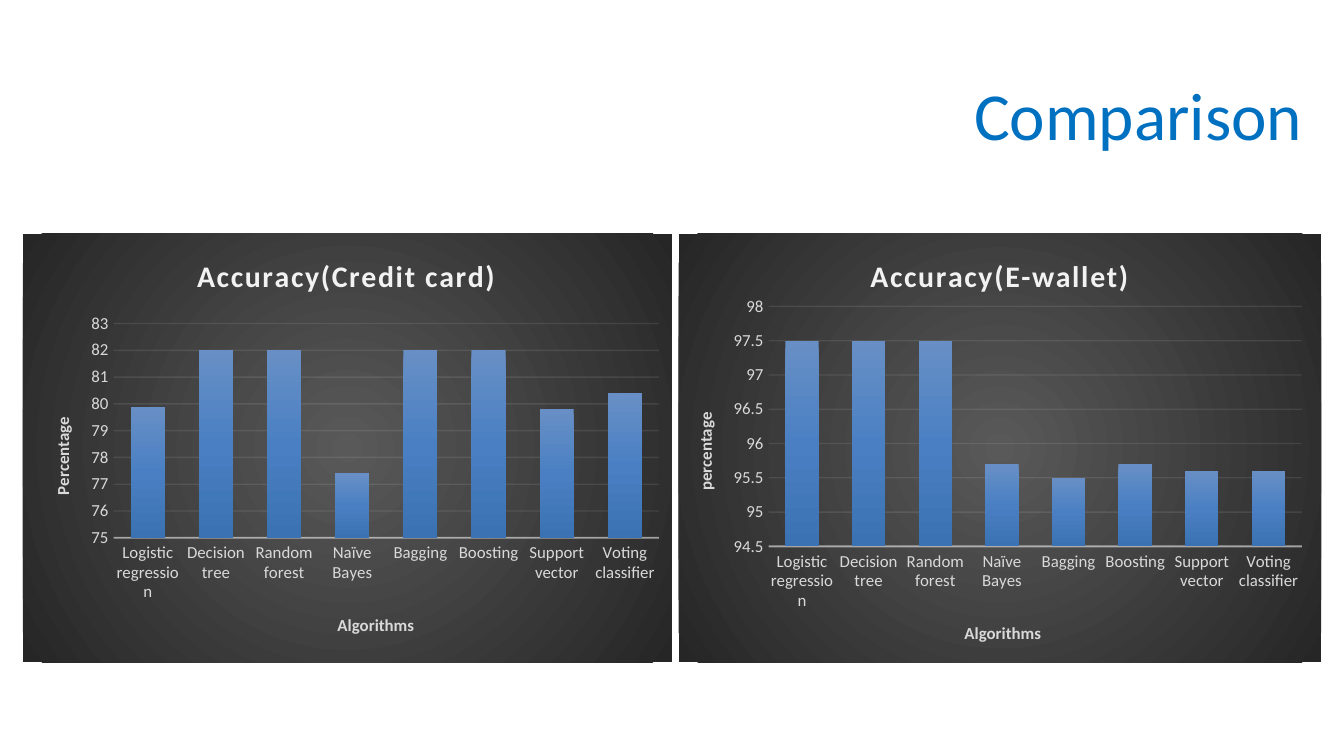
import dataclasses

import lxml.etree
import pptx
import pptx.chart.data
import pptx.dml.color
import pptx.enum.chart
import pptx.enum.text
import pptx.oxml.ns
import pptx.util

COLORS = {
    "heading": "0070C0", "title": "F2F2F2", "label": "D9D9D9", "line": "F2F2F2",
    "glow": "595959", "edge": "262626",
    "bar_top": "688FC5", "bar_mid": "4A80C3", "bar_foot": "3B72B3",
}
FONT = "Calibri"
ALGORITHMS = ["Logistic regression", "Decision tree", "Random forest", "Naïve Bayes",
              "Bagging", "Boosting", "Support vector", "Voting classifier"]

# A 16:9 slide; the grid has 100 columns and 100 rows
prs = pptx.Presentation()
prs.slide_width = pptx.util.Inches(10)
prs.slide_height = prs.slide_width * 9 // 16
COL, ROW = prs.slide_width / 100, prs.slide_height / 100


@dataclasses.dataclass
class Panel:
    """A bar chart; places inside it are shares of its own size."""
    title: str
    value_title: str
    left: float
    width: float
    values: list[float]
    scale: tuple[float, float, float]
    plot: tuple[float, float, float, float]
    title_at: tuple[float, float]
    category_title_at: tuple[float, float]
    value_title_at: tuple[float, float]


PANELS = [
    Panel("Accuracy(Credit card)", "Percentage", 1.7, 48.3,
          [79.9, 82, 82, 77.4, 82, 82, 79.8, 80.4], (75, 83, 1),
          (0.14, 0.21, 0.84, 0.5), (0.26, 0.04), (0.48, 0.88), (0.04, 0.42)),
    Panel("Accuracy(E-wallet)", "percentage", 50.5, 47.8,
          [97.5, 97.5, 97.5, 95.7, 95.5, 95.7, 95.6, 95.6], (94.5, 98, 0.5),
          (0.14, 0.17, 0.83, 0.56), (0.29, 0.04), (0.44, 0.9), (0.02, 0.41)),
]


def add_text(tf, text: str, *, size: float, color: str, bold: bool = False,
             spacing: int = 0, align=None) -> None:
    p = tf.paragraphs[0]
    p.alignment = align
    r = p.add_run()
    r.text = text
    set_font(r.font, size, color, bold)
    if spacing:
        r.font._element.set("spc", str(spacing))


def set_font(font, size: float, color: str, bold: bool = False) -> None:
    font.name, font.size, font.bold = FONT, pptx.util.Pt(size), bold
    font.color.rgb = pptx.dml.color.RGBColor.from_string(COLORS[color])


def sub(parent, tag: str, **attrs):
    return lxml.etree.SubElement(parent, pptx.oxml.ns.qn(tag),
                                 {k: str(v) for k, v in attrs.items()})


def add_gradient(sp_pr, stops: list[tuple[int, str]], radial: bool = False) -> None:
    grad = sub(sp_pr, "a:gradFill", rotWithShape=1)
    stop_list = sub(grad, "a:gsLst")
    for share, color in stops:
        sub(sub(stop_list, "a:gs", pos=share * 1000), "a:srgbClr", val=COLORS[color])
    if radial:
        circle = sub(grad, "a:path", path="circle")
        sub(circle, "a:fillToRect", l=50000, t=50000, r=50000, b=50000)
    else:
        sub(grad, "a:lin", ang=5400000, scaled=0)


def place(element, *shares: float, inner: bool = False) -> None:
    """Give a chart part a fixed place: x, y and, if wanted, w, h."""
    layout = element.find(pptx.oxml.ns.qn("c:layout"))
    if layout is None:
        layout = lxml.etree.Element(pptx.oxml.ns.qn("c:layout"))
        element.insert(0, layout)
    manual = sub(layout, "c:manualLayout")
    if inner:
        sub(manual, "c:layoutTarget", val="inner")
    for side in "xy":
        sub(manual, f"c:{side}Mode", val="edge")
    for side, share in zip("xywh", shares):
        sub(manual, f"c:{side}", val=share)


def set_line(line, width: float, opacity: int) -> None:
    line.width = pptx.util.Pt(width)
    line.color.rgb = pptx.dml.color.RGBColor.from_string(COLORS["line"])
    color = next(line._ln.iter(pptx.oxml.ns.qn("a:srgbClr")))
    sub(color, "a:alpha", val=opacity * 1000)


def format_axis(axis, title: str, at: tuple[float, float]) -> None:
    axis.major_tick_mark = axis.minor_tick_mark = pptx.enum.chart.XL_TICK_MARK.NONE
    set_font(axis.tick_labels.font, 9, "label")
    add_text(axis.axis_title.text_frame, title, size=9, color="label", bold=True)
    place(axis.axis_title._element, *at)


def add_panel(s, panel: Panel) -> None:
    data = pptx.chart.data.CategoryChartData()
    data.categories = ALGORITHMS
    data.add_series("Series 1", panel.values)
    chart = s.shapes.add_chart(
        pptx.enum.chart.XL_CHART_TYPE.COLUMN_CLUSTERED, round(panel.left * COL),
        round(30.9 * ROW), round(panel.width * COL), round(56.7 * ROW), data).chart
    set_font(chart.font, 10, "label")
    chart.has_legend = False

    # Dark panel with a glow in the middle
    body = chart._chartSpace.find(pptx.oxml.ns.qn("c:chart"))
    sp_pr = lxml.etree.Element(pptx.oxml.ns.qn("c:spPr"))
    body.addnext(sp_pr)
    add_gradient(sp_pr, [(0, "glow"), (100, "edge")], radial=True)
    sub(sub(sp_pr, "a:ln"), "a:noFill")

    # Title and plot area
    add_text(chart.chart_title.text_frame, panel.title, size=16, color="title",
             bold=True, spacing=100)
    place(chart.chart_title._element, *panel.title_at)
    place(body.find(pptx.oxml.ns.qn("c:plotArea")), *panel.plot, inner=True)

    # Axes
    format_axis(chart.category_axis, "Algorithms", panel.category_title_at)
    set_line(chart.category_axis.format.line, 1, 54)
    axis = chart.value_axis
    format_axis(axis, panel.value_title, panel.value_title_at)
    axis.minimum_scale, axis.maximum_scale, axis.major_unit = panel.scale
    axis.format.line.fill.background()
    set_line(axis.major_gridlines.format.line, 0.75, 10)

    # Bars
    plot = chart.plots[0]
    plot.gap_width, plot.overlap, plot.vary_by_categories = 100, -24, False
    add_gradient(plot.series[0]._element.get_or_add_spPr(),
                 [(0, "bar_top"), (50, "bar_mid"), (100, "bar_foot")])


# Heading
s = prs.slides.add_slide(prs.slide_layouts[5])
sp = s.shapes.title
sp.left, sp.top = round(59.7 * COL), round(8.7 * ROW)
sp.width, sp.height = round(38.2 * COL), round(12.6 * ROW)
add_text(sp.text_frame, "Comparison", size=36, color="heading",
         align=pptx.enum.text.PP_ALIGN.RIGHT)

# Charts
for panel in PANELS:
    add_panel(s, panel)

prs.save("out.pptx")
